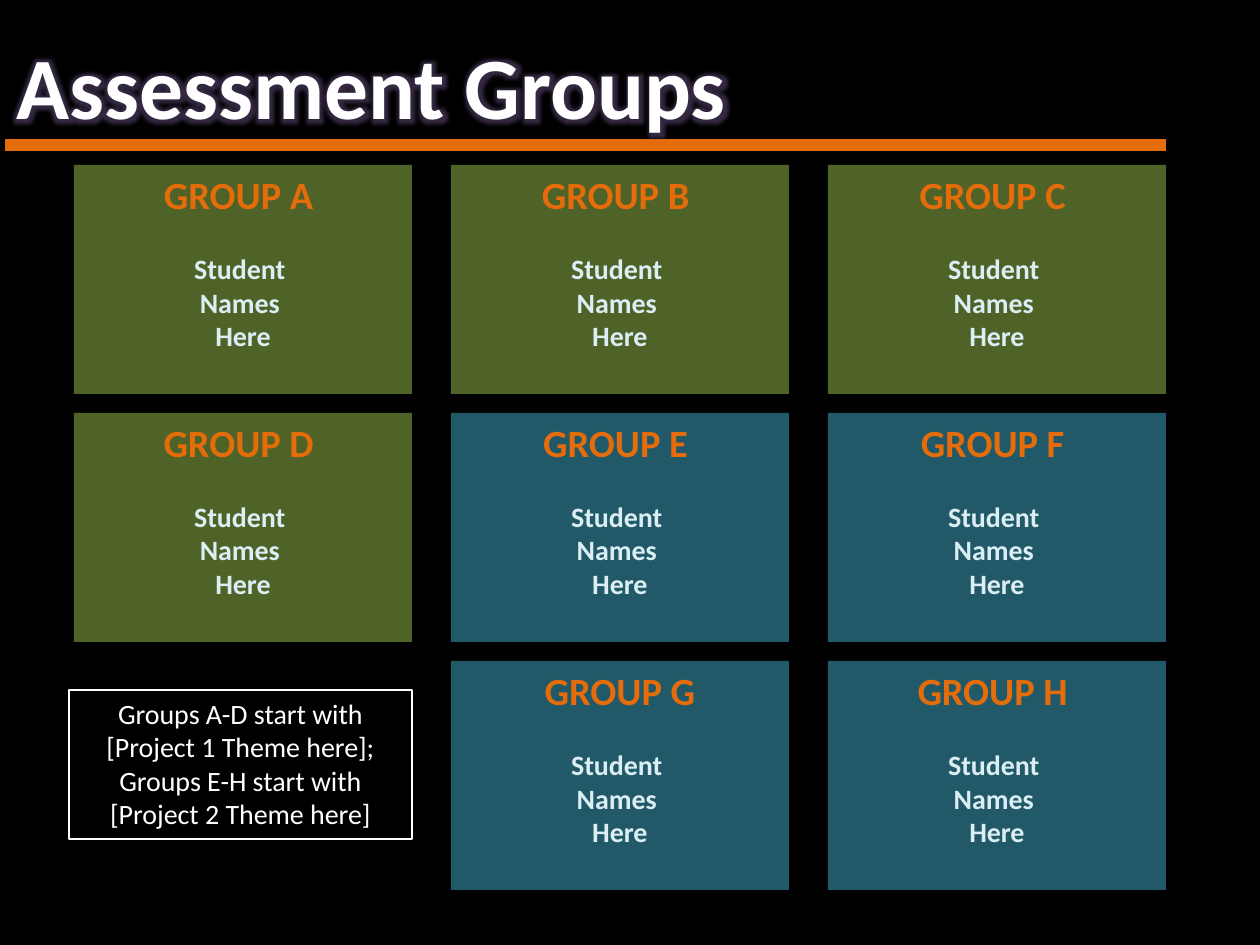
from typing import NamedTuple

from lxml import etree
from pptx import Presentation
from pptx.dml.color import RGBColor
from pptx.enum.shapes import MSO_CONNECTOR, MSO_SHAPE
from pptx.enum.text import MSO_ANCHOR, MSO_AUTO_SIZE, PP_ALIGN
from pptx.oxml.ns import qn
from pptx.util import Emu, Pt

SCALE = 914400 // 126
RECT = MSO_SHAPE.RECTANGLE
STRAIGHT = MSO_CONNECTOR.STRAIGHT
TOP = MSO_ANCHOR.TOP
LEFT, CENTER = PP_ALIGN.LEFT, PP_ALIGN.CENTER
FIXED = MSO_AUTO_SIZE.NONE

FONT = "Calibri"
BLACK, WHITE = "000000", "FFFFFF"
ORANGE, PALE = "E46C0A", "DBEEF4"
GREEN, TEAL = "4F6228", "215968"
PURPLE = "8064A2"

# Grid of group boxes, in pixels
GRID_X, GRID_Y = 74, 165
STEP_X, STEP_Y = 377, 248
BOX_W, BOX_H = 338, 229


class Group(NamedTuple):
    """A group box: heading, grid cell and fill."""
    name: str
    col: int
    row: int
    fill: str


GROUPS = [
    Group("GROUP A ", 0, 0, GREEN),
    Group("GROUP B ", 1, 0, GREEN),
    Group("GROUP C ", 2, 0, GREEN),
    Group("GROUP D ", 0, 1, GREEN),
    Group("GROUP E ", 1, 1, TEAL),
    Group("GROUP F ", 2, 1, TEAL),
    Group("GROUP H ", 2, 2, TEAL),
    Group("GROUP G", 1, 2, TEAL),
]
NAMES = ["Student ", "Names ", "Here"]
NOTE = ("Groups A-D start with [Project 1 Theme here]; "
        "Groups E-H start with [Project 2 Theme here]")


def px(n: int) -> Emu:
    """Turn pixels into EMU."""
    return Emu(n * SCALE)


def color(code: str) -> RGBColor:
    """Turn a hex string into a colour."""
    return RGBColor.from_string(code)


def style(font, size: int, code: str, bold: bool = False) -> None:
    """Set the font, size, colour and weight."""
    font.name, font.size, font.bold = FONT, Pt(size), bold
    font.color.rgb = color(code)


def add_box(slide, x: int, y: int, w: int, h: int):
    """Add a plain rectangle with top-anchored text."""
    box = slide.shapes.add_shape(RECT, px(x), px(y), px(w), px(h))
    box.shadow.inherit = False
    box.text_frame.word_wrap = True
    box.text_frame.vertical_anchor = TOP
    return box


def add_group(slide, group: Group) -> None:
    """Draw one group box with its heading and names."""
    box = add_box(slide, GRID_X + group.col * STEP_X,
                  GRID_Y + group.row * STEP_Y, BOX_W, BOX_H)
    box.fill.solid()
    box.fill.fore_color.rgb = color(group.fill)
    box.line.fill.background()
    frame = box.text_frame
    frame.text = "\n".join([group.name, *NAMES])
    for i, para in enumerate(frame.paragraphs):
        para.alignment = CENTER
        style(para.font, 16 if i else 22, PALE if i else ORANGE, True)
    frame.paragraphs[1].space_before = Pt(19.5)


def add_note(slide) -> None:
    """Draw the outlined note on the starting themes."""
    box = add_box(slide, 69, 690, 343, 149)
    box.fill.background()
    box.line.color.rgb = color(WHITE)
    box.line.width = Pt(0.75)
    box.text_frame.text = NOTE
    para = box.text_frame.paragraphs[0]
    para.alignment = CENTER
    style(para.font, 16, WHITE)


def add_glow(font, code: str) -> None:
    """Put a soft glow around the text of a run."""
    props = font.fill._xPr
    effects = etree.Element(qn("a:effectLst"))
    glow = etree.SubElement(effects, qn("a:glow"), rad="101600")
    tint = etree.SubElement(glow, qn("a:srgbClr"), val=code)
    etree.SubElement(tint, qn("a:alpha"), val="40000")
    props.find(qn("a:solidFill")).addnext(effects)


def add_title(slide):
    """Place and format the title."""
    title = slide.shapes.title
    title.left, title.top = px(4), px(26)
    title.width, title.height = px(924), px(119)
    frame = title.text_frame
    frame.text = "Assessment Groups"
    frame.auto_size, frame.word_wrap = FIXED, True
    frame.vertical_anchor = TOP
    para = frame.paragraphs[0]
    para.alignment = LEFT
    font = para.runs[0].font
    style(font, 50, WHITE, True)
    add_glow(font, PURPLE)
    return title


def add_rule(slide, title) -> None:
    """Draw the orange rule behind the title."""
    rule = slide.shapes.add_connector(
        STRAIGHT, px(5), px(145), px(1166), px(145))
    rule.line.color.rgb = color(ORANGE)
    rule.line.width = Pt(7)
    etree.SubElement(rule.element.spPr, qn("a:effectLst"))
    title.element.addprevious(rule.element)


def main() -> None:
    """Build and save the slide."""
    deck = Presentation()
    deck.slide_width, deck.slide_height = px(1260), px(945)
    slide = deck.slides.add_slide(deck.slide_layouts[5])
    slide.background.fill.solid()
    slide.background.fill.fore_color.rgb = color(BLACK)
    add_rule(slide, add_title(slide))
    for group in GROUPS:
        add_group(slide, group)
    add_note(slide)
    deck.save("out.pptx")


main()
